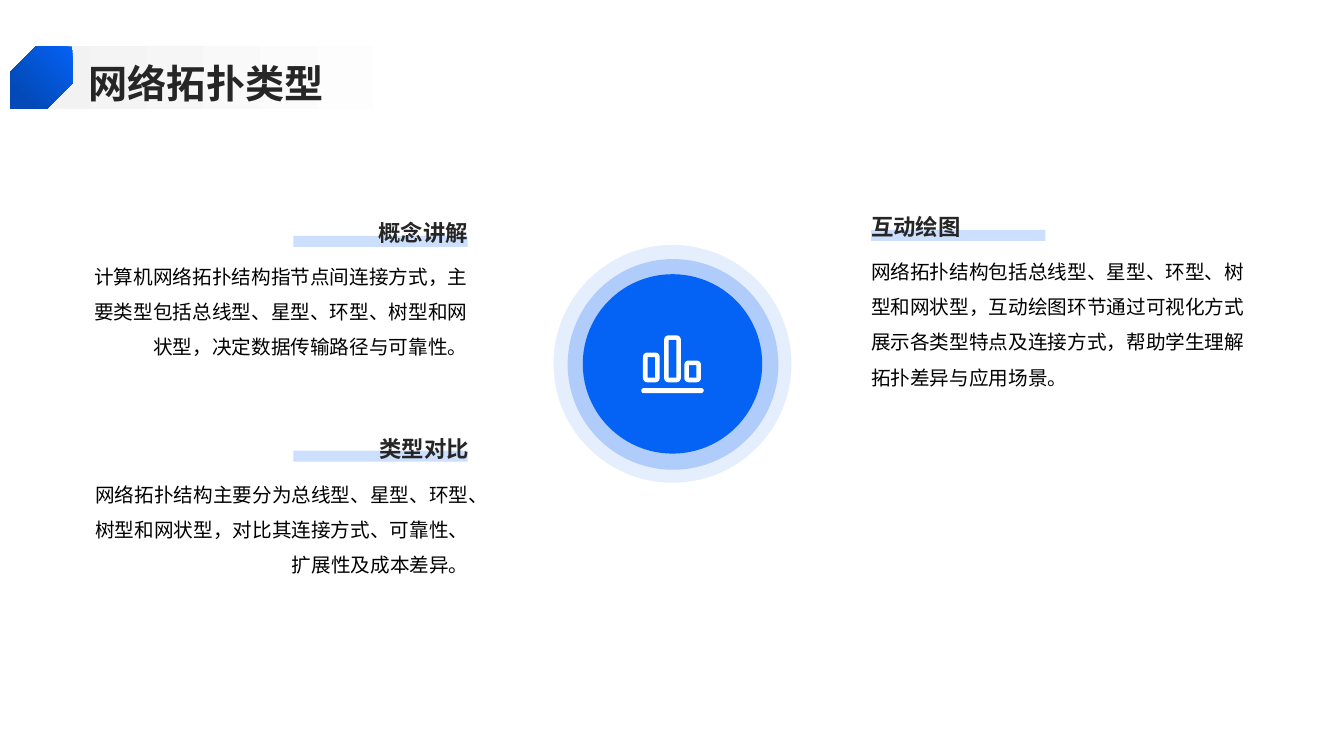
from lxml import etree
from pptx import Presentation
from pptx.dml.color import RGBColor
from pptx.enum.shapes import MSO_SHAPE
from pptx.enum.text import MSO_ANCHOR, MSO_AUTO_SIZE, PP_ALIGN
from pptx.oxml.ns import qn
from pptx.util import Pt

PX = 9144  # 100 px to the inch
FONT = "Noto Sans CJK SC"
BLUE = RGBColor(0x04, 0x62, 0xF5)
DEEP_BLUE = RGBColor(0x03, 0x4A, 0xB8)
PALE_BLUE = RGBColor(0xCC, 0xDF, 0xFE)
GREY = RGBColor(0xF2, 0xF2, 0xF2)
WHITE = RGBColor(0xFF, 0xFF, 0xFF)
INK = RGBColor(0x26, 0x26, 0x26)
BLACK = RGBColor(0, 0, 0)
RECT, OVAL, ROUNDED = MSO_SHAPE.RECTANGLE, MSO_SHAPE.OVAL, MSO_SHAPE.ROUNDED_RECTANGLE
SNIPPED = MSO_SHAPE.SNIP_2_DIAG_RECTANGLE
LEFT, RIGHT = PP_ALIGN.LEFT, PP_ALIGN.RIGHT
TOP, MIDDLE, BOTTOM = MSO_ANCHOR.TOP, MSO_ANCHOR.MIDDLE, MSO_ANCHOR.BOTTOM

HEADING = {"size": Pt(16), "bold": True, "color": INK, "anchor": BOTTOM, "spacing": 1.5}
BODY = {"size": Pt(14), "bold": False, "color": BLACK, "anchor": TOP, "spacing": 1.5}
TITLE = {"size": Pt(28), "bold": True, "color": INK, "anchor": MIDDLE, "spacing": 1.1}

prs = Presentation()
prs.slide_width, prs.slide_height = 1333 * PX, 750 * PX
slide = prs.slides.add_slide(prs.slide_layouts[5])
shapes = slide.shapes


def add_plain(kind, box, color=None):
    """Add a shape without line or shadow, filled when a colour is given."""
    shape = shapes.add_shape(kind, *(n * PX for n in box))
    shape.shadow.inherit = False
    shape.line.fill.background()
    if color is not None:
        shape.fill.solid()
        shape.fill.fore_color.rgb = color
    return shape


def write(holder, box, text, style, align):
    """Place a text holder and fill it with one formatted paragraph."""
    holder.left, holder.top, holder.width, holder.height = (n * PX for n in box)
    frame = holder.text_frame
    for name, value in {
        "word_wrap": True, "auto_size": MSO_AUTO_SIZE.NONE, "vertical_anchor": style["anchor"],
        "margin_left": 0, "margin_right": 0, "margin_top": 0, "margin_bottom": 0,
    }.items():
        setattr(frame, name, value)
    paragraph = frame.paragraphs[0]
    paragraph.alignment = align
    paragraph.line_spacing = style["spacing"]
    run = paragraph.add_run()
    run.text = text
    run.font.size, run.font.bold, run.font.name = style["size"], style["bold"], FONT
    run.font.color.rgb = style["color"]
    etree.SubElement(run.font._element, qn("a:ea"), typeface=FONT)


# Topics: heading, its box, underline place, body, its box, alignment
topics = [
    ("概念讲解", (90, 197, 374, 47), (291, 234),
     "计算机网络拓扑结构指节点间连接方式，主要类型包括总线型、星型、环型、树型和网状型，决定数据传输路径与可靠性。",
     (90, 251, 374, 151), RIGHT),
    ("类型对比", (91, 411, 374, 47), (291, 447),
     "网络拓扑结构主要分为总线型、星型、环型、树型和网状型，对比其连接方式、可靠性、扩展性及成本差异。",
     (91, 467, 374, 151), RIGHT),
    ("互动绘图", (864, 191, 374, 47), (864, 228),
     "网络拓扑结构包括总线型、星型、环型、树型和网状型，互动绘图环节通过可视化方式展示各类型特点及连接方式，帮助学生理解拓扑差异与应用场景。",
     (864, 246, 374, 295), LEFT),
]
for heading, heading_box, underline, body, body_box, align in topics:
    add_plain(RECT, (*underline, 173, 11), PALE_BLUE)
    write(shapes.add_textbox(0, 0, 0, 0), heading_box, heading, HEADING, align)
    write(shapes.add_textbox(0, 0, 0, 0), body_box, body, BODY, align)

# Concentric discs
for diameter, opacity in [(236, 10), (209, 24), (178, 100)]:
    corner = (667 - diameter // 2, 361 - diameter // 2)
    disc = add_plain(OVAL, (*corner, diameter, diameter), BLUE)
    color = disc.fill._xPr.find(qn("a:solidFill"))[0]
    etree.SubElement(color, qn("a:alpha"), val=str(opacity * 1000))

# Bar icon
BAR_FOOT = 377
for left, top in [(640, 352), (661, 335), (681, 360)]:
    bar = add_plain(ROUNDED, (left, top, 12, BAR_FOOT - top))
    bar.fill.background()
    bar.line.color.rgb = WHITE
    bar.line.width = Pt(3.25)
baseline = add_plain(ROUNDED, (636, 385, 62, 5), WHITE)
baseline.adjustments[0] = 0.5

# Title band and marker
band = add_plain(RECT, (33, 46, 492, 62))
marker = add_plain(SNIPPED, (10, 46, 62, 62))
marker.adjustments[0], marker.adjustments[1] = 0.41, 0
for shape, angle, colors in [(band, 0, (GREY, WHITE)), (marker, 225, (BLUE, DEEP_BLUE))]:
    shape.fill.gradient()
    shape.fill.gradient_angle = angle
    for stop, position, color in zip(shape.fill.gradient_stops, (0, 0.8), colors):
        stop.position = position
        stop.color.rgb = color

title = shapes.title
write(title, (88, 54, 1188, 51), "网络拓扑类型", TITLE, LEFT)
band._element.addnext(title._element)

prs.save("out.pptx")
